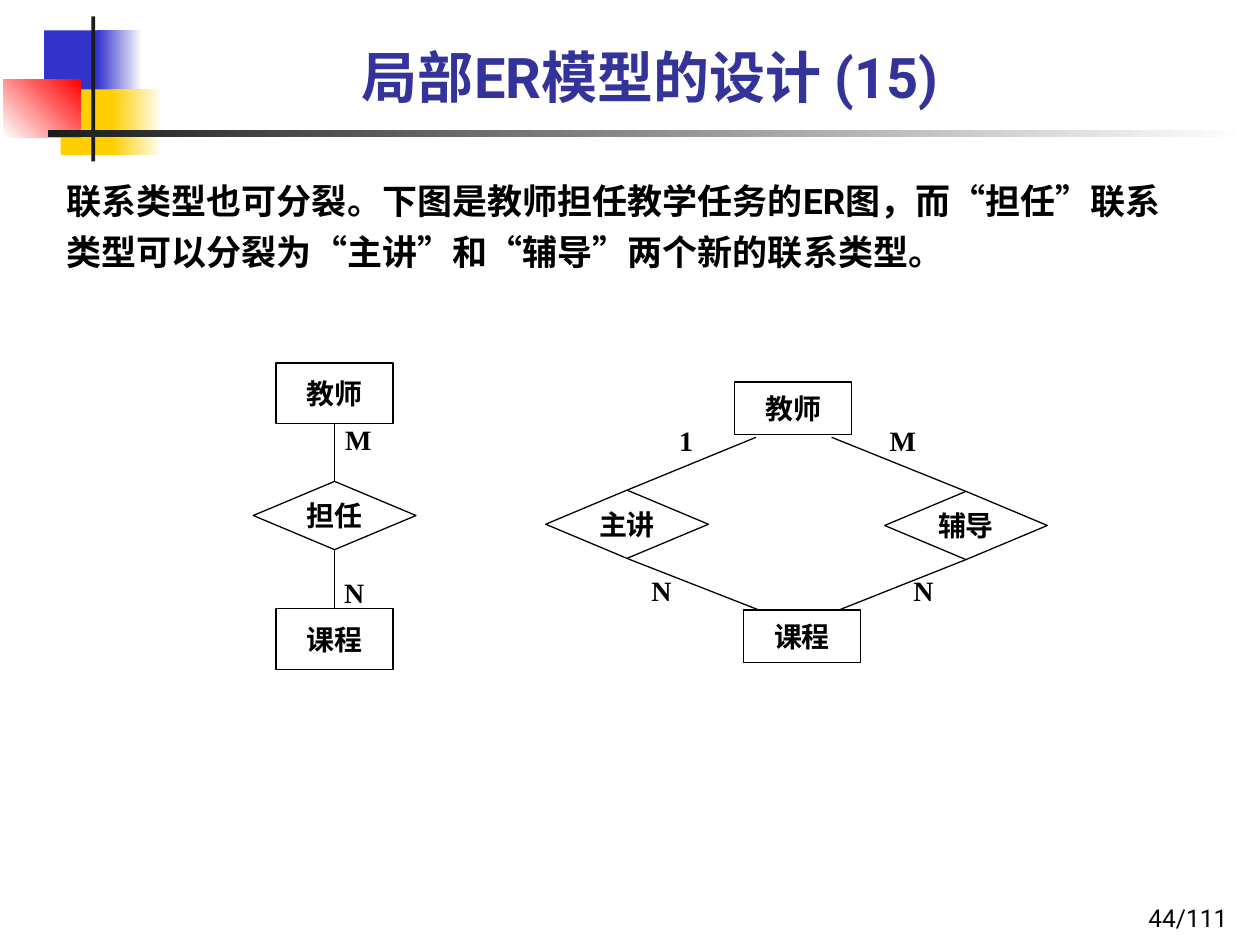
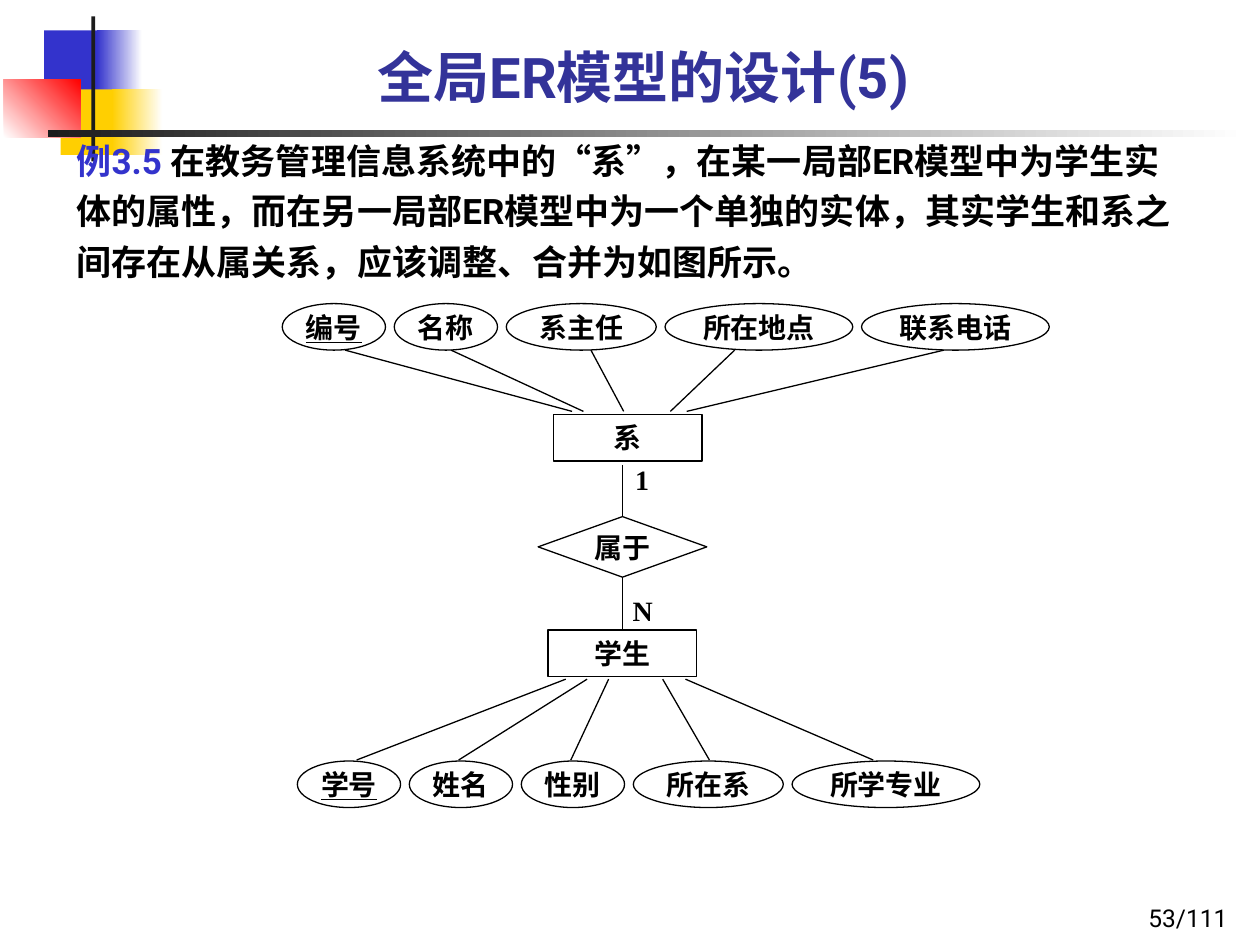
from itertools import groupby

from lxml import etree
from pptx import Presentation
from pptx.dml.color import RGBColor
from pptx.enum import shapes, text
from pptx.oxml import ns
from pptx.util import Pt

COLOURS = {
    "title": "333399", "blue": "3333CC", "yellow": "FFCF01", "red": "FF0000",
    "bar": "1C1C1C", "black": "000000", "white": "FFFFFF",
}
BODY_FONT = "Roboto"
DIAGRAM_FONT = "Times New Roman"
QUOTES = "“”"
RECTANGLE = shapes.MSO_SHAPE.RECTANGLE
DIAMOND = shapes.MSO_SHAPE.DIAMOND
ELLIPSE = shapes.MSO_SHAPE.OVAL
TOP, BOTTOM = 0, 2
ALIGN = text.PP_ALIGN
ANCHOR = text.MSO_ANCHOR

RELATION_SIZE = (93, 39)
ATTRIBUTE_WIDTHS = {2: 59, 3: 85.7, 4: 107.3}  # by number of characters
ATTRIBUTE_HEIGHT = 26.6
ATTRIBUTE_GAP = 5


def colour(name):
    return RGBColor.from_string(COLOURS[name])


def points(*lengths):
    return [Pt(length) for length in lengths]


def write(shape, runs, size=16, font=DIAGRAM_FONT, bold=True, underline=False,
          align=ALIGN.CENTER, anchor=ANCHOR.MIDDLE, insets=(0, 0), spacing=None):
    """Fill a shape with one paragraph of (text, colour name) runs."""
    frame = shape.text_frame
    frame.word_wrap = True
    frame.vertical_anchor = anchor
    frame.margin_left = frame.margin_right = Pt(insets[0])
    frame.margin_top = frame.margin_bottom = Pt(insets[1])
    paragraph = frame.paragraphs[0]
    paragraph.alignment = align
    if spacing:
        paragraph.line_spacing = spacing
    for content, colour_name in runs:
        # Quotation marks take the serif font
        for quoted, letters in groupby(content, key=lambda letter: letter in QUOTES):
            run = paragraph.add_run()
            run.text = "".join(letters)
            run.font.name = DIAGRAM_FONT if quoted else font
            run.font.size = Pt(size)
            run.font.bold = bold
            if underline:
                run.font.underline = True
            run.font.color.rgb = colour(colour_name)


def add_text(slide, box, runs, **style):
    shape = slide.shapes.add_textbox(*points(*box))
    write(shape, runs, **style)
    return shape


def add_band(slide, box, start, end=None, angle=0):
    """Decorative block, plain or fading from start to end."""
    shape = slide.shapes.add_shape(RECTANGLE, *points(*box))
    shape.shadow.inherit = False
    shape.line.fill.background()
    if end is None:
        shape.fill.solid()
        shape.fill.fore_color.rgb = colour(start)
        return
    shape.fill.gradient()
    shape.fill.gradient_angle = angle
    for stop, name in zip(shape.fill.gradient_stops, (start, end)):
        stop.color.rgb = colour(name)


def add_node(slide, kind, origin, box, label, **style):
    """Entity, relation or attribute, placed relative to the diagram's origin."""
    left, top, width, height = box
    shape = slide.shapes.add_shape(
        kind, *points(origin[0] + left, origin[1] + top, width, height))
    shape.shadow.inherit = False
    if kind == ELLIPSE:
        shape.fill.background()
    else:
        shape.fill.solid()
        shape.fill.fore_color.rgb = colour("white")
    shape.line.color.rgb = colour("black")
    shape.line.width = Pt(0.75)
    write(shape, [(label, "black")], **style)
    return shape


def add_cardinality(slide, origin, left, top, label):
    add_text(slide, (origin[0] + left, origin[1] + top, 17, 18),
             [(label, "black")], align=ALIGN.LEFT)


def add_link(slide, origin, start, end):
    """Line between two ends: an (x, y) point or a (shape, side) joint."""
    ends = (start, end)
    joined = [not isinstance(place[0], (int, float)) for place in ends]
    places = [(0, 0) if joint else place for place, joint in zip(ends, joined)]
    connector = slide.shapes.add_connector(
        shapes.MSO_CONNECTOR.STRAIGHT,
        *points(*(origin[axis] + place[axis] for place in places for axis in (0, 1))))
    if joined[0]:
        connector.begin_connect(*start)
    if joined[1]:
        connector.end_connect(*end)
    connector.line.color.rgb = colour("black")
    connector.line.width = Pt(0.75)
    etree.SubElement(connector._element.spPr, ns.qn("a:effectLst"))


def add_frame(presentation, title, page):
    """New slide with the shared blocks, title and page number."""
    slide = presentation.slides.add_slide(presentation.slide_layouts[6])
    add_band(slide, (25.2, 17.3, 34.6, 37.4), "blue")
    add_band(slide, (55.4, 17.3, 25.9, 37.4), "blue", "white")
    add_band(slide, (34.6, 51.1, 33.1, 37.4), "yellow")
    add_band(slide, (64.1, 51.1, 28.8, 37.4), "yellow", "white")
    add_band(slide, (2.2, 45.4, 43.9, 33.1), "white", "red", angle=45)
    add_band(slide, (52.2, 9.4, 2.2, 82.8), "bar")
    add_band(slide, (27.4, 74.2, 684.7, 4.3), "bar", "white")
    add_text(slide, (558.7, 500.4, 149.8, 36), [(f"{page}/111", "black")], size=14,
             font=BODY_FONT, bold=False, align=ALIGN.RIGHT, anchor=ANCHOR.BOTTOM,
             insets=(7.2, 3.6))
    add_text(slide, (64.8, 3.6, 613.4, 62.6), [(title, "title")], size=32,
             font=BODY_FONT, anchor=ANCHOR.BOTTOM, insets=(7.2, 3.6))
    return slide


def add_body(slide, box, runs):
    add_text(slide, box, runs, size=20, font=BODY_FONT, align=ALIGN.LEFT,
             anchor=ANCHOR.TOP, insets=(7.2, 3.6), spacing=1.2)


def draw_single_relation(slide, origin):
    """Teacher and course joined by one relation."""
    teacher = add_node(slide, RECTANGLE, origin, (13, 0, 67, 34.6), "教师")
    course = add_node(slide, RECTANGLE, origin, (13, 140.4, 67, 34.6), "课程")
    relation = add_node(slide, DIAMOND, origin, (0, 67.7, *RELATION_SIZE), "担任")
    add_link(slide, origin, (teacher, BOTTOM), (relation, TOP))
    add_link(slide, origin, (relation, BOTTOM), (course, TOP))
    add_cardinality(slide, origin, 52.6, 34.9, "M")
    add_cardinality(slide, origin, 51.9, 122, "N")


def draw_split_relation(slide, origin):
    """Teacher and course joined by two relations."""
    add_node(slide, RECTANGLE, origin, (108, 0, 67, 30.2), "教师")
    add_node(slide, RECTANGLE, origin, (113, 130.3, 67, 30.2), "课程")
    # Relation, its corner, and where its lines meet teacher and course
    for label, left, top, teacher_x, course_x in (
            ("主讲", 0, 61.9, 120.2, 121.7), ("辅导", 193.7, 62.6, 163.4, 167.8)):
        relation = add_node(slide, DIAMOND, origin, (left, top, *RELATION_SIZE), label)
        add_link(slide, origin, (teacher_x, 31.7), (relation, TOP))
        add_link(slide, origin, (relation, BOTTOM), (course_x, 130.3))
    for label, left, top in (("1", 76.3, 24.5), ("M", 196.6, 24.5),
                             ("N", 60.5, 110.2), ("N", 210.2, 110.2)):
        add_cardinality(slide, origin, left, top, label)


def draw_attributes(slide, origin, left, top, link_y, attributes):
    """Row of ellipses; the first is the key. Each has the x of its line's two ends."""
    attribute_y, entity_y = link_y
    for index, (label, attribute_x, entity_x) in enumerate(attributes):
        width = ATTRIBUTE_WIDTHS[len(label)]
        add_node(slide, ELLIPSE, origin, (left, top, width, ATTRIBUTE_HEIGHT), label,
                 underline=index == 0)
        add_link(slide, origin, (attribute_x, attribute_y), (entity_x, entity_y))
        left += width + ATTRIBUTE_GAP


def draw_department_model(slide, origin):
    """Department and student, each with its attributes."""
    add_node(slide, RECTANGLE, origin, (154.8, 63.4, 85, 26.6), "系")
    student = add_node(slide, RECTANGLE, origin, (151.9, 186.5, 85, 26.6), "学生")
    relation = add_node(slide, DIAMOND, origin, (146.2, 121.7, 96.4, 34.6), "属于")
    add_link(slide, origin, (194.4, 92.2), (relation, TOP))
    add_link(slide, origin, (relation, BOTTOM), (student, TOP))
    add_cardinality(slide, origin, 201.6, 91.4, "1")
    add_cardinality(slide, origin, 200.2, 166.3, "N")
    draw_attributes(slide, origin, 0, 0, (26.6, 61.6), (
        ("编号", 36, 165.6), ("名称", 96.5, 172.1), ("系主任", 176.4, 195.1),
        ("所在地点", 258.5, 221.8), ("联系电话", 378, 231.1)))
    draw_attributes(slide, origin, 8.6, 261.4, (260.8, 214.6), (
        ("学号", 42.5, 162), ("姓名", 100.8, 174.2), ("性别", 164.9, 186.5),
        ("所在系", 244.1, 217.4), ("所学专业", 337.7, 230.4)))


def build_local_slide(presentation):
    slide = add_frame(presentation, "局部ER模型的设计 (15)", 44)
    add_body(slide, (31, 94.3, 652.3, 73.4), [
        ("联系类型也可分裂。下图是教师担任教学任务的ER图，而“担任”联系类型"
         "可以分裂为“主讲”和“辅导”两个新的联系类型。", "black")])
    draw_single_relation(slide, (144.7, 207.4))
    draw_split_relation(slide, (311.8, 218.2))


def build_global_slide(presentation):
    slide = add_frame(presentation, "全局ER模型的设计(5) ", 53)
    add_body(slide, (36.7, 71.3, 652.3, 102.2), [
        ("例3.5 ", "blue"),
        ("在教务管理信息系统中的“系”，在某一局部ER模型中为学生实体的属性，"
         "而在另一局部ER模型中为一个单独的实体，其实学生和系之间存在从属关系，"
         "应该调整、合并为如图所示。", "black")])
    draw_department_model(slide, (161.3, 173.5))


def main():
    presentation = Presentation()
    presentation.slide_width, presentation.slide_height = points(720, 540)
    build_local_slide(presentation)
    build_global_slide(presentation)
    presentation.save("out.pptx")


if __name__ == "__main__":
    main()
